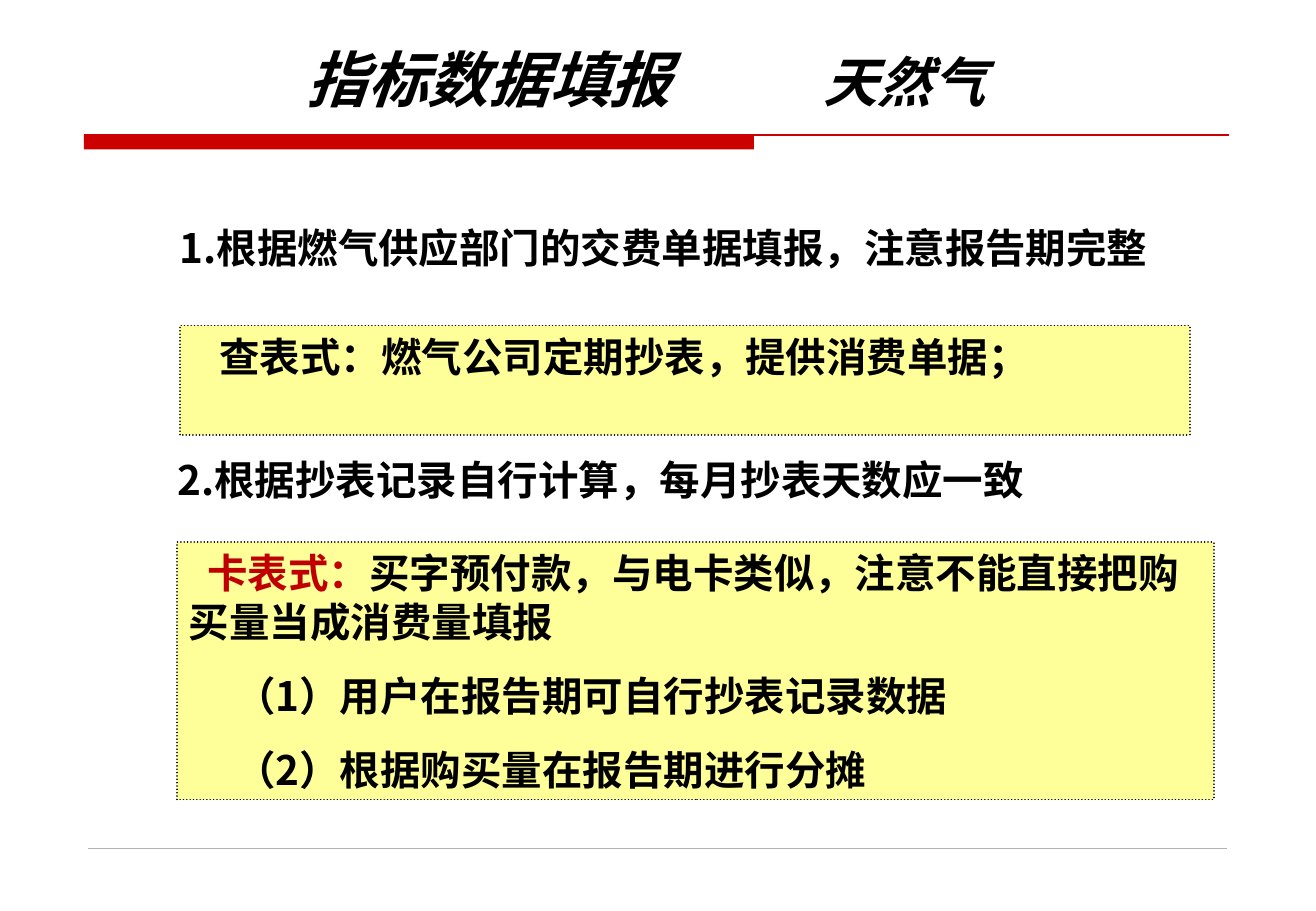
from lxml import etree
from pptx import Presentation
from pptx.dml.color import RGBColor
from pptx.enum import dml, shapes, text
from pptx.oxml import ns
from pptx.util import Pt

COLORS = {"red": "CC0000", "dark_red": "C00000", "yellow": "FFFF99",
          "black": "000000", "grey": "B2B2B2"}
SANS_SC, SANS_JP = "Noto Sans CJK SC", "Noto Sans CJK JP"


def rgb(name):
    return RGBColor.from_string(COLORS[name])


def add_run(p, words, size=24, color="black", font=SANS_SC, italic=False):
    r = p.add_run()
    r.text = words
    values = {"size": Pt(size), "bold": True, "italic": italic, "name": font}
    for key, value in values.items():
        setattr(r.font, key, value)
    r.font.color.rgb = rgb(color)
    ea = etree.SubElement(r._r.get_or_add_rPr(), ns.qn("a:ea"))
    ea.set("typeface", font)


def add_rule(s, x1, x2, y, color, width):
    line = s.shapes.add_connector(shapes.MSO_CONNECTOR.STRAIGHT,
                                  Pt(x1), Pt(y), Pt(x2), Pt(y))
    line.line.color.rgb = rgb(color)
    line.line.width = Pt(width)
    etree.SubElement(line._element.spPr, ns.qn("a:effectLst"))


def add_frame(s, box):
    """Middle-anchored text box; returns its first paragraph."""
    tf = s.shapes.add_textbox(*map(Pt, box)).text_frame
    tf.word_wrap = True
    tf.vertical_anchor = text.MSO_ANCHOR.MIDDLE
    return tf.paragraphs[0]


def add_title(s, box, topic, subject, tab):
    p = add_frame(s, box)
    tabs = etree.SubElement(p._p.get_or_add_pPr(), ns.qn("a:tabLst"))
    etree.SubElement(tabs, ns.qn("a:tab"), pos=str(Pt(tab)), algn="l")
    add_run(p, topic + "\t", 36, italic=True)
    add_run(p, subject, 32, font=SANS_JP, italic=True)


def add_title_bar(s, left, top, width, height, thick_width):
    bar = s.shapes.add_shape(shapes.MSO_SHAPE.RECTANGLE, Pt(left), Pt(top),
                             Pt(thick_width), Pt(height))
    bar.shadow.inherit = False
    bar.fill.solid()
    bar.fill.fore_color.rgb = rgb("red")
    bar.line.fill.background()
    add_rule(s, left, left + width, top, "red", 1)


def add_note(s, box, paragraphs):
    """Yellow dotted box; each paragraph is (first-line indent, runs)."""
    sp = s.shapes.add_shape(shapes.MSO_SHAPE.RECTANGLE, *map(Pt, box))
    sp.shadow.inherit = False
    sp.fill.solid()
    sp.fill.fore_color.rgb = rgb("yellow")
    sp.line.color.rgb = rgb("black")
    sp.line.width = Pt(1)
    sp.line.dash_style = dml.MSO_LINE.ROUND_DOT
    sp.line._get_or_add_ln().set("cap", "rnd")
    tf = sp.text_frame
    tf.word_wrap = True
    tf.vertical_anchor = text.MSO_ANCHOR.TOP
    for i, (indent, runs) in enumerate(paragraphs):
        p = tf.add_paragraph() if i else tf.paragraphs[0]
        p.alignment = text.PP_ALIGN.LEFT
        if i:
            p.space_before = Pt(15)
        pPr = p._p.get_or_add_pPr()
        pPr.set("marL", "0")
        pPr.set("indent", str(Pt(indent)))
        for words, color in runs:
            add_run(p, words, color=color)


def build_gas_slide(prs):
    s = prs.slides.add_slide(prs.slide_layouts[6])
    add_title_bar(s, 49.7, 80, 679, 8.6, 397.5)
    add_rule(s, 52, 728, 502.5, "grey", 0.25)
    add_title(s, (174.6, 20.6, 527, 51.8), "指标数据填报", "天然气", 306.5)
    add_run(add_frame(s, (99.4, 114.1, 606.2, 64.8)),
            "1.根据燃气供应部门的交费单据填报，注意报告期完整")
    add_note(s, (106.6, 193, 599, 64.8),
             [(16.4, [("查表式：燃气公司定期抄表，提供消费单据；", "black")])])
    add_run(add_frame(s, (98.2, 266.4, 623.5, 36)),
            "2.根据抄表记录自行计算，每月抄表天数应一致")
    add_note(s, (105, 321.4, 614.9, 152.6), [
        (11, [("卡表式：", "dark_red"),
              ("买字预付款，与电卡类似，注意不能直接把购买量当成消费量填报", "black")]),
        (27.4, [("（1）用户在报告期可自行抄表记录数据", "black")]),
        (27.4, [("（2）根据购买量在报告期进行分摊", "black")]),
    ])


def main():
    prs = Presentation()
    prs.slide_width, prs.slide_height = Pt(780.48), Pt(540)
    build_gas_slide(prs)
    prs.save("out.pptx")


if __name__ == "__main__":
    main()
